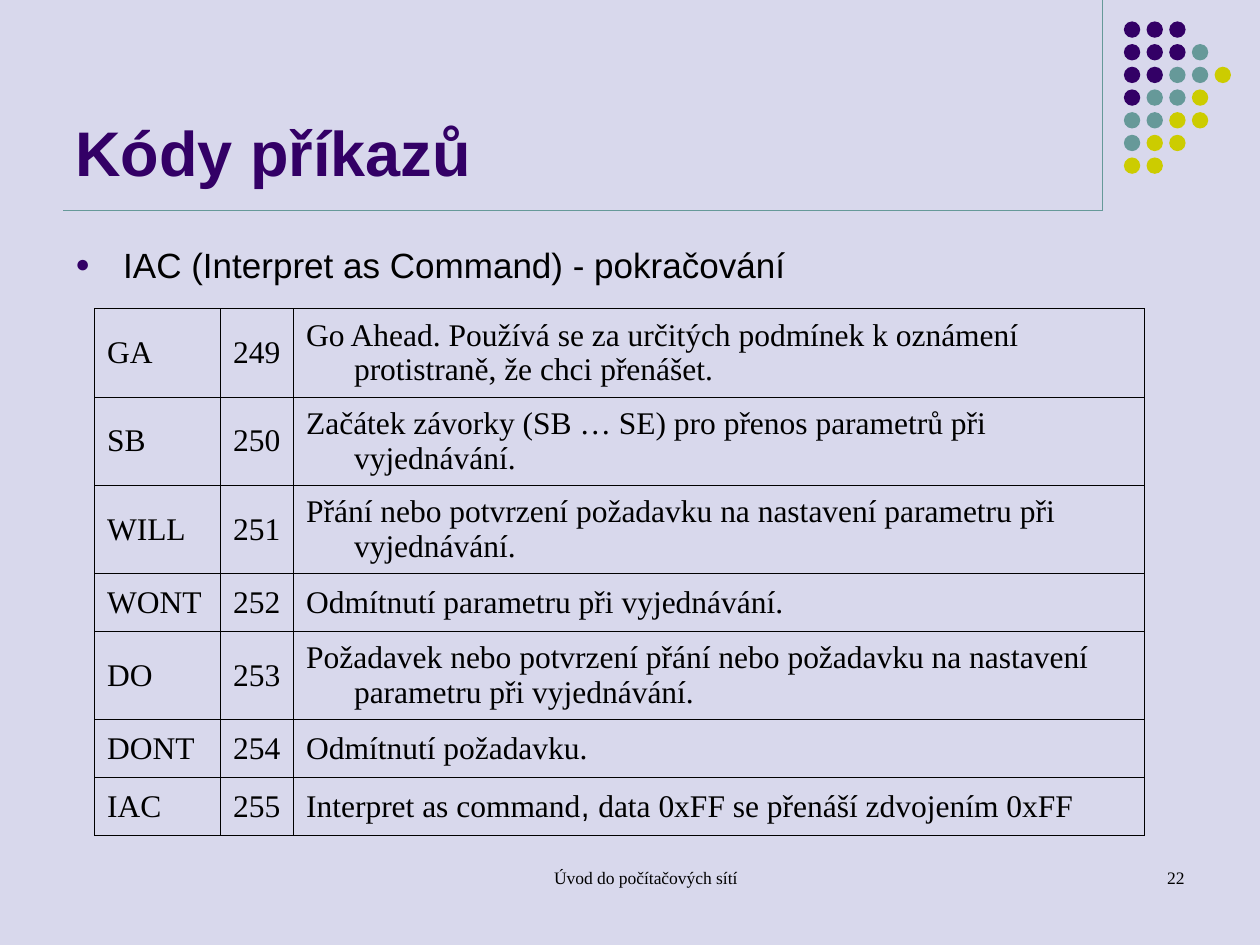
from lxml import etree
from pptx import Presentation
from pptx import util as u
from pptx.dml.color import RGBColor
from pptx.enum import shapes, text
from pptx.oxml.ns import qn

PURPLE, TEAL, YELLOW, BLACK = "330066", "669999", "CCCC00", "000000"
SERIF, SANS = "Times New Roman", "Arial"
DOTS = ["PPP", "PPPT", "PPTTY", "PTTY", "TTYY", "TYY", "YY"]
DOT_COLORS = {"P": PURPLE, "T": TEAL, "Y": YELLOW}
COLUMNS = [1, 0.58, 6.75]
COMMANDS = [
    ("GA", "249", "Go Ahead. Používá se za určitých podmínek k oznámení protistraně, že chci přenášet.", 0.7),
    ("SB", "250", "Začátek závorky (SB … SE) pro přenos parametrů při vyjednávání.", 0.7),
    ("WILL", "251", "Přání nebo potvrzení požadavku na nastavení parametru při vyjednávání.", 0.7),
    ("WONT", "252", "Odmítnutí parametru při vyjednávání.", 0.46),
    ("DO", "253", "Požadavek nebo potvrzení přání nebo požadavku na nastavení parametru při vyjednávání.", 0.7),
    ("DONT", "254", "Odmítnutí požadavku.", 0.46),
    ("IAC", "255", ["Interpret as command", ", ", "data 0xFF se přenáší zdvojením 0xFF"], 0.46),
]


def rgb(color):
    return RGBColor.from_string(color)


def child(parent, tag, **attrs):
    return etree.SubElement(parent, qn(tag), attrs)


def write(p, content, size, font, color=BLACK, bold=False, left=0, indent=0):
    for piece in [content] if isinstance(content, str) else content:
        r = p.add_run()
        r.text = piece
        r.font.size = u.Pt(size)
        r.font.name = SANS if piece == ", " else font
        r.font.bold = bold
        r.font.color.rgb = rgb(color)
    pPr = p._p.get_or_add_pPr()
    pPr.set("marL", str(u.Inches(left)))
    pPr.set("indent", str(u.Inches(indent)))


def add_text(s, box, content, size, font, anchor=text.MSO_ANCHOR.TOP,
             align=text.PP_ALIGN.LEFT, **style):
    tf = s.shapes.add_textbox(*map(u.Inches, box)).text_frame
    tf.word_wrap = True
    tf.vertical_anchor = anchor
    p = tf.paragraphs[0]
    p.alignment = align
    write(p, content, size, font, **style)
    return p


def add_bullet(p, color, percent):
    p.space_before = u.Pt(5)
    pPr = p._p.get_or_add_pPr()
    child(child(pPr, "a:buClr"), "a:srgbClr", val=color)
    child(pPr, "a:buSzPct", val=str(percent * 1000))
    child(pPr, "a:buFont", typeface=SANS)
    child(pPr, "a:buChar", char="●")


def add_line(s, x1, y1, x2, y2):
    line = s.shapes.add_connector(shapes.MSO_CONNECTOR.STRAIGHT,
                                  *map(u.Inches, (x1, y1, x2, y2)))
    line.line.color.rgb = rgb(TEAL)
    line.line.width = u.Pt(0.75)
    child(line._element.spPr, "a:effectLst")


def add_dots(s, left, top, pitch, size):
    for row, codes in enumerate(DOTS):
        for col, code in enumerate(codes):
            box = (left + col * pitch, top + row * pitch, size, size)
            sp = s.shapes.add_shape(shapes.MSO_SHAPE.OVAL, *map(u.Inches, box))
            sp.shadow.inherit = False
            sp.fill.solid()
            sp.fill.fore_color.rgb = rgb(DOT_COLORS[code])
            sp.line.fill.background()


def add_borders(cell):
    tcPr = cell._tc.get_or_add_tcPr()
    for side in ("a:lnL", "a:lnR", "a:lnT", "a:lnB"):
        ln = child(tcPr, side, w=str(u.Pt(0.34)))
        child(child(ln, "a:solidFill"), "a:srgbClr", val=BLACK)


def add_commands(s, left, top):
    heights = [command[-1] for command in COMMANDS]
    box = (left, top, sum(COLUMNS), sum(heights))
    table = s.shapes.add_table(len(COMMANDS), len(COLUMNS), *map(u.Inches, box)).table
    table.first_row = table.horz_banding = False
    for column, width in zip(table.columns, COLUMNS):
        column.width = u.Inches(width)
    for row, (*contents, height) in zip(table.rows, COMMANDS):
        row.height = u.Inches(height)
        for cell, content in zip(row.cells, contents):
            cell.vertical_anchor = text.MSO_ANCHOR.MIDDLE
            add_borders(cell)
            cell.fill.background()
            write(cell.text_frame.paragraphs[0], content, 18, SERIF, left=0.38, indent=-0.38)


def main():
    prs = Presentation()
    prs.slide_width, prs.slide_height = u.Inches(10), u.Inches(7.5)
    s = prs.slides.add_slide(prs.slide_layouts[6])
    s.background.fill.solid()
    s.background.fill.fore_color.rgb = rgb("D8D8EC")
    add_line(s, 8.75, 0, 8.75, 1.67)
    add_dots(s, 8.92, 0.17, 0.18, 0.13)
    add_line(s, 0.5, 1.67, 8.75, 1.67)
    add_text(s, (0.5, 0.13, 8.25, 1.42), "Kódy příkazů", 36, SANS,
             anchor=text.MSO_ANCHOR.BOTTOM, color=PURPLE, bold=True)
    p = add_text(s, (0.5, 1.88, 8.67, 0.81), "IAC (Interpret as Command) - pokračování",
                 20, SANS, left=0.38, indent=-0.38)
    add_bullet(p, PURPLE, 70)
    add_commands(s, 0.75, 2.45)
    add_text(s, (3.42, 6.83, 3.17, 0.5), "Úvod do počítačových sítí", 10, SERIF,
             align=text.PP_ALIGN.CENTER, left=0.24)
    add_text(s, (7.17, 6.83, 2.33, 0.5), "22", 10, SERIF,
             align=text.PP_ALIGN.RIGHT, left=0.24)
    prs.save("out.pptx")


if __name__ == "__main__":
    main()
